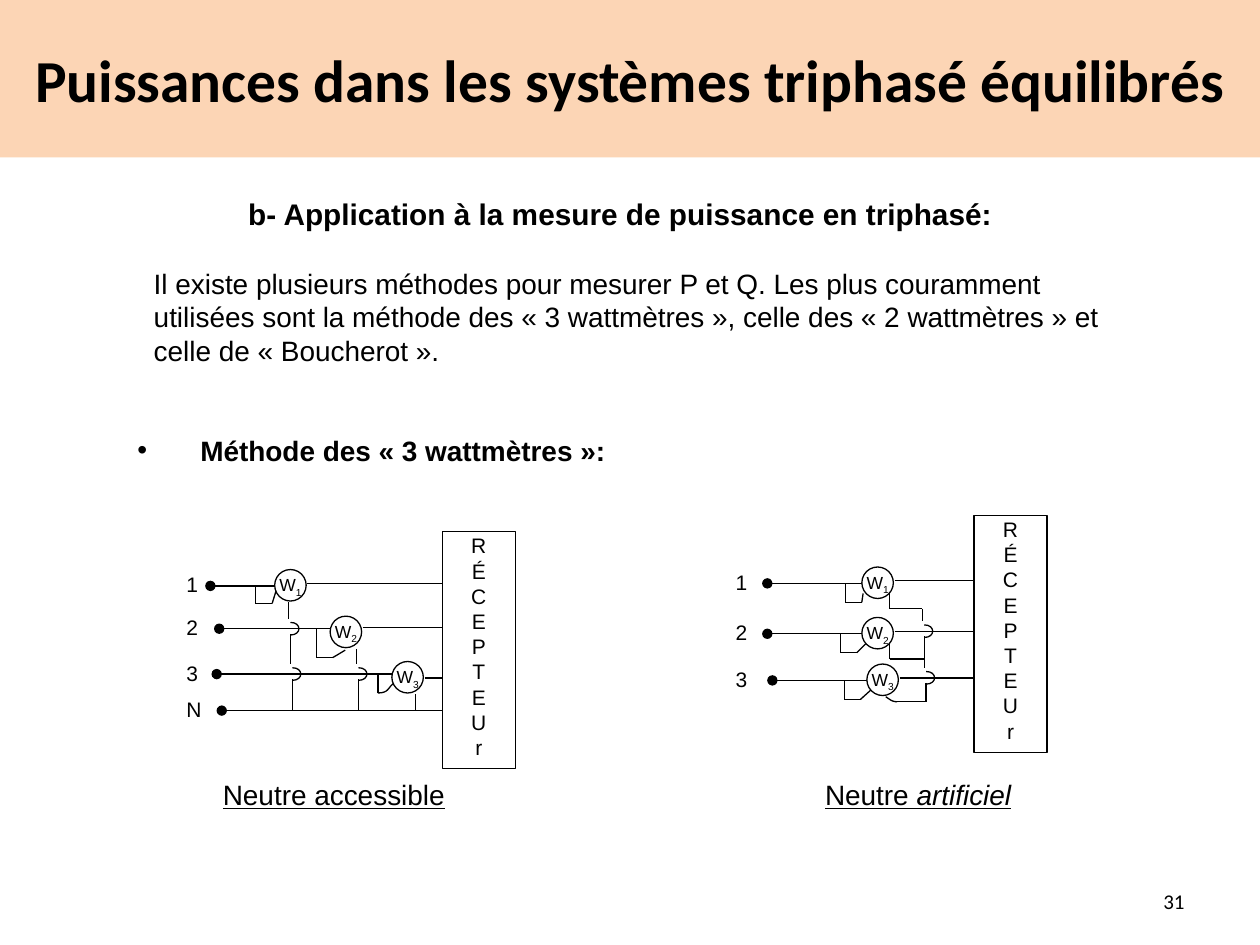
"""Build a slide on measuring three-phase power with three wattmeters."""
from dataclasses import dataclass

from lxml import etree
from pptx import Presentation
from pptx.dml.color import RGBColor
from pptx.enum.shapes import MSO_CONNECTOR, MSO_SHAPE
from pptx.enum.text import MSO_ANCHOR, MSO_AUTO_SIZE, PP_ALIGN
from pptx.oxml.ns import qn
from pptx.util import Inches, Pt

LINE = MSO_CONNECTOR.STRAIGHT
OVAL, RECT = MSO_SHAPE.OVAL, MSO_SHAPE.RECTANGLE
TOP, MIDDLE = MSO_ANCHOR.TOP, MSO_ANCHOR.MIDDLE
FIXED, GROW = MSO_AUTO_SIZE.NONE, MSO_AUTO_SIZE.SHAPE_TO_FIT_TEXT
LEFT, CENTER, RIGHT = PP_ALIGN.LEFT, PP_ALIGN.CENTER, PP_ALIGN.RIGHT
COLS, ROWS = 1000, 750
DIAL, FOOT, LEAN = 25, 13, 1.5
HOP_WIDE, HOP_HALF = 9, 5
GAP_ABOVE, GAP_BELOW = 8, 4


@dataclass(frozen=True)
class Theme:
    """Hold the colours, fonts and type sizes."""
    ink: RGBColor = RGBColor(0, 0, 0)
    paper: RGBColor = RGBColor(255, 255, 255)
    band: RGBColor = RGBColor(0xFC, 0xD5, 0xB5)
    head: str = "Calibri"
    text: str = "Arial"
    title: int = 34
    lead: int = 17
    body: int = 16
    label: int = 12
    dial: int = 10
    stroke: float = 0.75


@dataclass(frozen=True)
class Phase:
    """Hold one phase: its row, dot, dial and tap columns, and small shifts."""
    row: int
    dot: int
    dial: int
    tap: int
    depth: int = 15
    touch: tuple = (5, 19)
    sag: int = 0
    rise: int = 2
    stem: int = 22
    curved: bool = False

    @property
    def top(self):
        """Give the top row of the dial."""
        return self.row - 13 + self.sag

    @property
    def out(self):
        """Give the row of the wire that leaves the dial."""
        return self.row - self.rise


THEME = Theme()
DIRECT = (Phase(465, 167, 218, 203, depth=14, touch=(2, 14), stem=11),
          Phase(499, 174, 262, 251, depth=23, touch=(12, 27), sag=3, rise=1, stem=21),
          Phase(535, 172, 311, 300, touch=(2, 17), sag=3, rise=-3, stem=19, curved=True))
STAR = (Phase(463, 609, 684, 671, touch=(1, 21)),
        Phase(503, 609, 684, 667),
        Phase(540, 613, 688, 670))


def grid(*spots):
    """Turn grid columns and rows into lengths."""
    return [Inches(spot / 100) for spot in spots]


def write(frame, *runs, size=THEME.body, font=THEME.text, bold=False, under=False,
          align=LEFT, before=0, left=0, hang=0, mark=None):
    """Add a paragraph of plain or (text, style) runs."""
    para = frame.paragraphs[0]
    if para.runs:
        para = frame.add_paragraph()
    para.alignment, para.space_before = align, Pt(before)
    props = para._p.get_or_add_pPr()
    props.set("marL", str(Inches(left)))
    props.set("indent", str(-Inches(hang)))
    if mark:
        etree.SubElement(props, qn("a:buChar")).set("char", mark)
    else:
        etree.SubElement(props, qn("a:buNone"))
    for item in runs:
        words, style = (item, None) if isinstance(item, str) else item
        run = para.add_run()
        run.text = words
        face = run.font
        face.size, face.name, face.bold = Pt(size), font, bold
        face.color.rgb = THEME.ink
        if under:
            face.underline = True
        if style == "ital":
            face.italic = True
        if style == "sub":
            run._r.get_or_add_rPr().set("baseline", "-25000")


def label(shapes, area, *runs, wrap=True, anchor=TOP, fit=FIXED, **form):
    """Add a text box with one paragraph."""
    frame = shapes.add_textbox(*grid(*area)).text_frame
    frame.word_wrap, frame.auto_size, frame.vertical_anchor = wrap, fit, anchor
    write(frame, *runs, **form)


def trace(shape):
    """Give a shape the thin ink outline."""
    shape.line.color.rgb = THEME.ink
    shape.line.width = Pt(THEME.stroke)


def wire(shapes, *ends, dot=False):
    """Draw a straight wire, with a round start if asked."""
    link = shapes.add_connector(LINE, *grid(*ends))
    trace(link)
    props = link.element.spPr
    if dot:
        etree.SubElement(props.find(qn("a:ln")), qn("a:headEnd")).set("type", "oval")
    etree.SubElement(props, qn("a:effectLst"))


def bend(shapes, col, row, *pulls, steps=8):
    """Draw a cubic curve from a start, with three points relative to it."""
    dots = []
    for step in range(1, steps + 1):
        t = step / steps
        parts = 3 * t * (1 - t) ** 2, 3 * t * t * (1 - t), t ** 3
        across, down = (sum(p * pull[axis] for p, pull in zip(parts, pulls)) for axis in (0, 1))
        dots.append(grid(col + across, row + down))
    path = shapes.build_freeform(*grid(col, row))
    path.add_line_segments(dots, close=False)
    shape = path.convert_to_shape()
    shape.fill.background()
    trace(shape)
    shape.shadow.inherit = False


def block(shapes, kind, *area):
    """Draw a paper-filled preset shape."""
    shape = shapes.add_shape(kind, *grid(*area))
    shape.fill.solid()
    shape.fill.fore_color.rgb = THEME.paper
    trace(shape)
    shape.shadow.inherit = False
    return shape


def feed(shapes, name, dot, row, end, margin):
    """Draw a named terminal and its wire."""
    wire(shapes, dot, row, end, row, dot=True)
    label(shapes, (margin, row - 16, 38, 33), name, size=THEME.label, before=6)


def probe(shapes, phase):
    """Draw the voltage tap from the feed down and back up to the dial."""
    base, heel = phase.row + phase.depth, phase.tap + FOOT
    across, down = phase.touch
    tip, rim = phase.dial + across, phase.top + down
    wire(shapes, phase.tap, phase.row, phase.tap, base)
    if phase.curved:
        wide, high = tip - phase.tap, rim - base
        bend(shapes, phase.tap, base, (wide * 0.7, 0), (wide * 0.6, high * 0.6), (wide, high))
    else:
        wire(shapes, phase.tap, base, heel, base)
        wire(shapes, heel, base, tip, rim)


def meter(shapes, rank, phase, load, margin):
    """Draw one phase from its terminal through its dial to the load."""
    feed(shapes, str(rank), phase.dot, phase.row, phase.dial, margin)
    probe(shapes, phase)
    wire(shapes, phase.dial + DIAL + 1, phase.out, load, phase.out)
    block(shapes, OVAL, phase.dial, phase.top, DIAL, DIAL)
    label(shapes, (phase.dial - 6, phase.top - 1, 53, 40), "W", (str(rank), "sub"),
          size=THEME.dial, before=6)


def descend(shapes, col, start, end, crossed):
    """Run a wire down, with a hop over each crossed row."""
    for row in crossed:
        wire(shapes, col, start, col, row - GAP_ABOVE)
        col, start = col + LEAN, row + GAP_BELOW
        bend(shapes, col, row - HOP_HALF, (HOP_WIDE, 0), (HOP_WIDE, 2 * HOP_HALF),
             (0, 2 * HOP_HALF))
    wire(shapes, col, start, col, end)


def ground(shapes, phases, load, margin, row=564, dot=176):
    """Return every dial to the neutral wire."""
    feed(shapes, "N", dot, row, load, margin)
    for rank, phase in enumerate(phases, 1):
        descend(shapes, phase.dial + phase.stem, phase.top + DIAL + 1, row,
                [other.row for other in phases[rank:]])


def join(shapes, phases, trunk=732, drop=13):
    """Tie every dial to one shared trunk, the star point."""
    *upper, last = phases
    for rank, phase in enumerate(upper):
        col, row = phase.dial + phase.stem, phase.top + 20
        wire(shapes, col, row, col, row + drop)
        wire(shapes, col, row + drop, trunk + LEAN * rank, row + drop)
    col, row = last.dial + 15, last.top + DIAL + 1
    bend(shapes, col, row, (3, 2), (5, 4), (9, 4))
    wire(shapes, col + 9, row + 4, trunk + LEAN * len(upper), row + 4)
    descend(shapes, trunk, phases[0].top + 20 + drop, row + 4,
            [phase.out for phase in phases[1:]])


def draw(slide, phases, tie, margin, load, note, *words):
    """Draw a circuit as a group: load, phases, ties and caption."""
    shapes = slide.shapes.add_group_shape().shapes
    frame = block(shapes, RECT, *load, 58, 188).text_frame
    frame.vertical_anchor, frame.word_wrap = TOP, True
    frame.margin_left = frame.margin_right = Inches(0.06)
    frame.margin_top = frame.margin_bottom = Inches(0.01)
    for letter in "RÉCEPTEUr":
        write(frame, letter, size=THEME.label, align=CENTER)
    for rank, phase in enumerate(phases, 1):
        meter(shapes, rank, phase, load[0], margin)
    tie(shapes, phases)
    label(shapes, note, *words, wrap=False, fit=GROW, under=True)


def place(shape, area, anchor):
    """Move a placeholder and return its text frame."""
    shape.left, shape.top, shape.width, shape.height = grid(*area)
    frame = shape.text_frame
    frame.auto_size, frame.vertical_anchor, frame.word_wrap = FIXED, anchor, True
    return frame


def main():
    """Build and save the slide."""
    deck = Presentation()
    deck.slide_width, deck.slide_height = grid(COLS, ROWS)
    slide = deck.slides.add_slide(deck.slide_layouts[1])
    title, body = slide.placeholders
    title.fill.solid()
    title.fill.fore_color.rgb = THEME.band
    write(place(title, (0, 0, COLS, ROWS / 6), MIDDLE),
          "Puissances dans les systèmes triphasé équilibrés",
          size=THEME.title, font=THEME.head, bold=True, align=CENTER)
    frame = place(body, (87, 150, 827, 552), TOP)
    write(frame, "b- Application à la mesure de puissance en triphasé:",
          size=THEME.lead, bold=True, left=1)
    write(frame, "Il existe plusieurs méthodes pour mesurer P et Q. Les plus couramment "
          "utilisées sont la méthode des « 3 wattmètres », celle des « 2 wattmètres » et "
          "celle de « Boucherot ».", before=20, left=0.25)
    write(frame, "Méthode des « 3 wattmètres »:", bold=True, before=38,
          left=0.62, hang=0.5, mark="•")
    margin, load = 138, (351, 422)
    draw(slide, DIRECT, lambda shapes, phases: ground(shapes, phases, load[0], margin),
         margin, load, (167, 612, 198, 37), "Neutre accessible")
    draw(slide, STAR, join, 574, (773, 409), (645, 612, 170, 37),
         "Neutre ", ("artificiel", "ital"))
    label(slide.shapes, (717, 695, 233, 40), "31", anchor=MIDDLE,
          size=THEME.label, font=THEME.head, align=RIGHT)
    deck.save("out.pptx")


if __name__ == "__main__":
    main()
